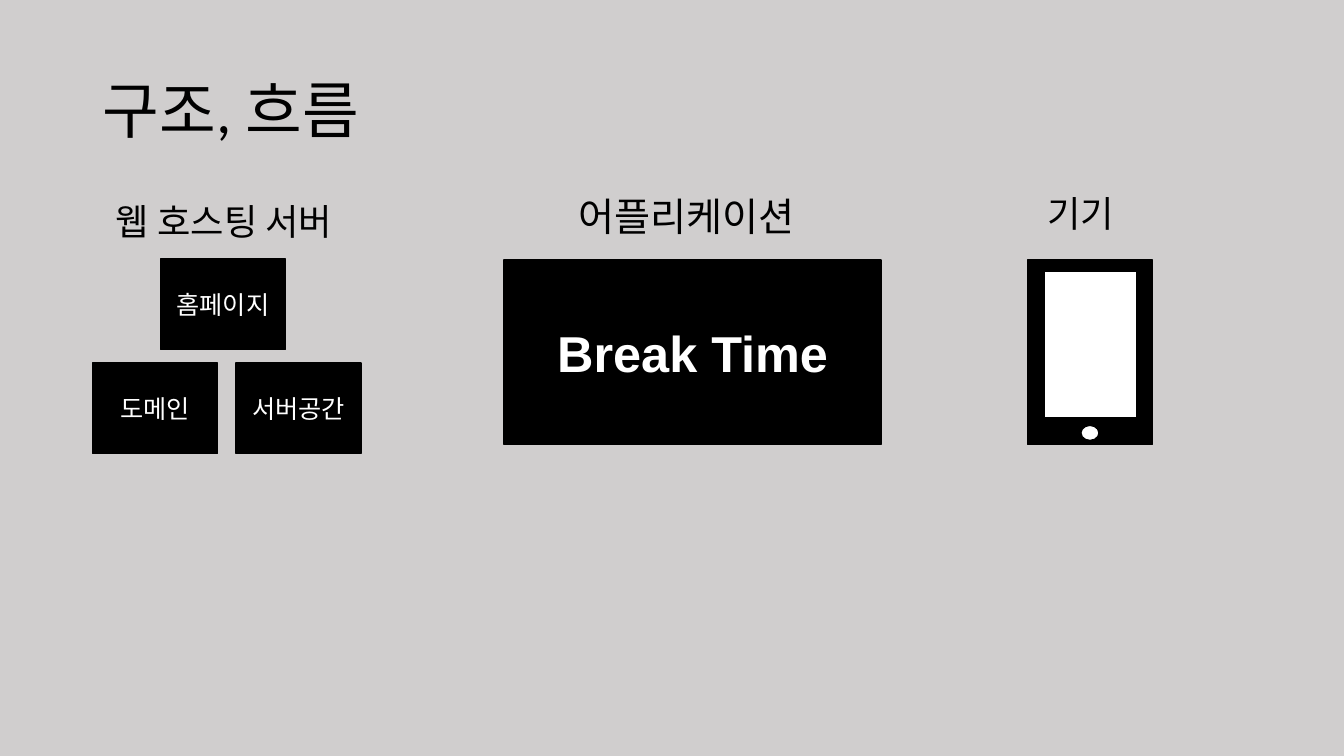
from dataclasses import dataclass

from pptx import Presentation
from pptx import util as u
from pptx.dml.color import RGBColor
from pptx.enum import shapes, text


@dataclass(frozen=True)
class Theme:
    """Colours, fonts and type sizes of the slide."""
    background: RGBColor = RGBColor(0xD0, 0xCE, 0xCE)
    dark: RGBColor = RGBColor(0, 0, 0)
    light: RGBColor = RGBColor(255, 255, 255)
    font: str = "Calibri"
    name_font: str = "Arial"
    title_size: float = 44
    large_heading_size: float = 28
    heading_size: float = 25.9
    box_size: float = 18
    name_size: float = 36


THEME = Theme()
RECTANGLE = shapes.MSO_SHAPE.RECTANGLE
OVAL = shapes.MSO_SHAPE.OVAL


def write(shape, words, size, color, font=THEME.font, bold=False):
    """Put one formatted paragraph in a shape and return the paragraph."""
    frame = shape.text_frame
    frame.text = words
    frame.word_wrap = True
    paragraph = frame.paragraphs[0]
    for run in paragraph.runs:
        run.font.name = font
        run.font.size = u.Pt(size)
        run.font.bold = bold
        run.font.color.rgb = color
    return paragraph


def add_title(slide, words):
    """Place and fill the title placeholder."""
    title = slide.shapes.title
    title.left, title.top = u.Inches(0.92), u.Inches(0.4)
    title.width, title.height = u.Inches(11.5), u.Inches(1.45)
    paragraph = write(title, words, THEME.title_size, THEME.dark)
    paragraph.alignment = text.PP_ALIGN.LEFT
    paragraph.line_spacing = 0.9
    title.text_frame.vertical_anchor = text.MSO_ANCHOR.MIDDLE


def add_heading(slide, words, left, top, width, height, size, spacing):
    """Add the heading above one part of the structure."""
    box = slide.shapes.add_textbox(*map(u.Inches, (left, top, width, height)))
    paragraph = write(box, words, size, THEME.dark)
    paragraph.line_spacing = spacing
    paragraph.space_before = u.Pt(10)


def add_block(slide, kind, left, top, width, height, fill=THEME.dark):
    """Add a filled shape with a thin dark outline."""
    shape = slide.shapes.add_shape(
        kind, *map(u.Inches, (left, top, width, height)))
    shape.shadow.inherit = False
    shape.fill.solid()
    shape.fill.fore_color.rgb = fill
    shape.line.color.rgb = THEME.dark
    shape.line.width = u.Pt(1)
    return shape


def add_label(shape, words, size, **style):
    """Centre light text in a block."""
    paragraph = write(shape, words, size, THEME.light, **style)
    paragraph.alignment = text.PP_ALIGN.CENTER
    shape.text_frame.vertical_anchor = text.MSO_ANCHOR.MIDDLE


def add_server(slide):
    """Add the three boxes of the web hosting server."""
    for words, left, top in (("도메인", 0.92, 3.6),
                             ("홈페이지", 1.59, 2.57),
                             ("서버공간", 2.34, 3.6)):
        box = add_block(slide, RECTANGLE, left, top, 1.24, 0.9)
        add_label(box, words, THEME.box_size)


def add_phone(slide):
    """Add the device: body, screen and home button."""
    add_block(slide, RECTANGLE, 10.19, 2.58, 1.24, 1.83)
    add_block(slide, RECTANGLE, 10.36, 2.69, 0.91, 1.45, THEME.light)
    add_block(slide, OVAL, 10.72, 4.22, 0.18, 0.15, THEME.light)


def add_application(slide):
    """Add the application panel with its name."""
    panel = add_block(slide, RECTANGLE, 5, 2.58, 3.74, 1.83)
    add_label(panel, "Break Time", THEME.name_size,
              font=THEME.name_font, bold=True)


def main():
    """Build and save the slide."""
    presentation = Presentation()
    presentation.slide_width = u.Inches(13.33)
    presentation.slide_height = u.Inches(7.5)
    slide = presentation.slides.add_slide(presentation.slide_layouts[5])
    slide.background.fill.solid()
    slide.background.fill.fore_color.rgb = THEME.background

    add_title(slide, "구조, 흐름")
    add_heading(slide, "웹 호스팅 서버", 1.05, 2.05, 2.82, 0.45,
                THEME.heading_size, 0.7)
    add_heading(slide, "어플리케이션", 5.64, 1.91, 3.02, 0.72,
                THEME.large_heading_size, 0.9)
    add_heading(slide, "기기", 10.29, 1.97, 2.28, 0.45,
                THEME.heading_size, 0.7)
    add_server(slide)
    add_phone(slide)
    add_application(slide)
    presentation.save("out.pptx")


main()
